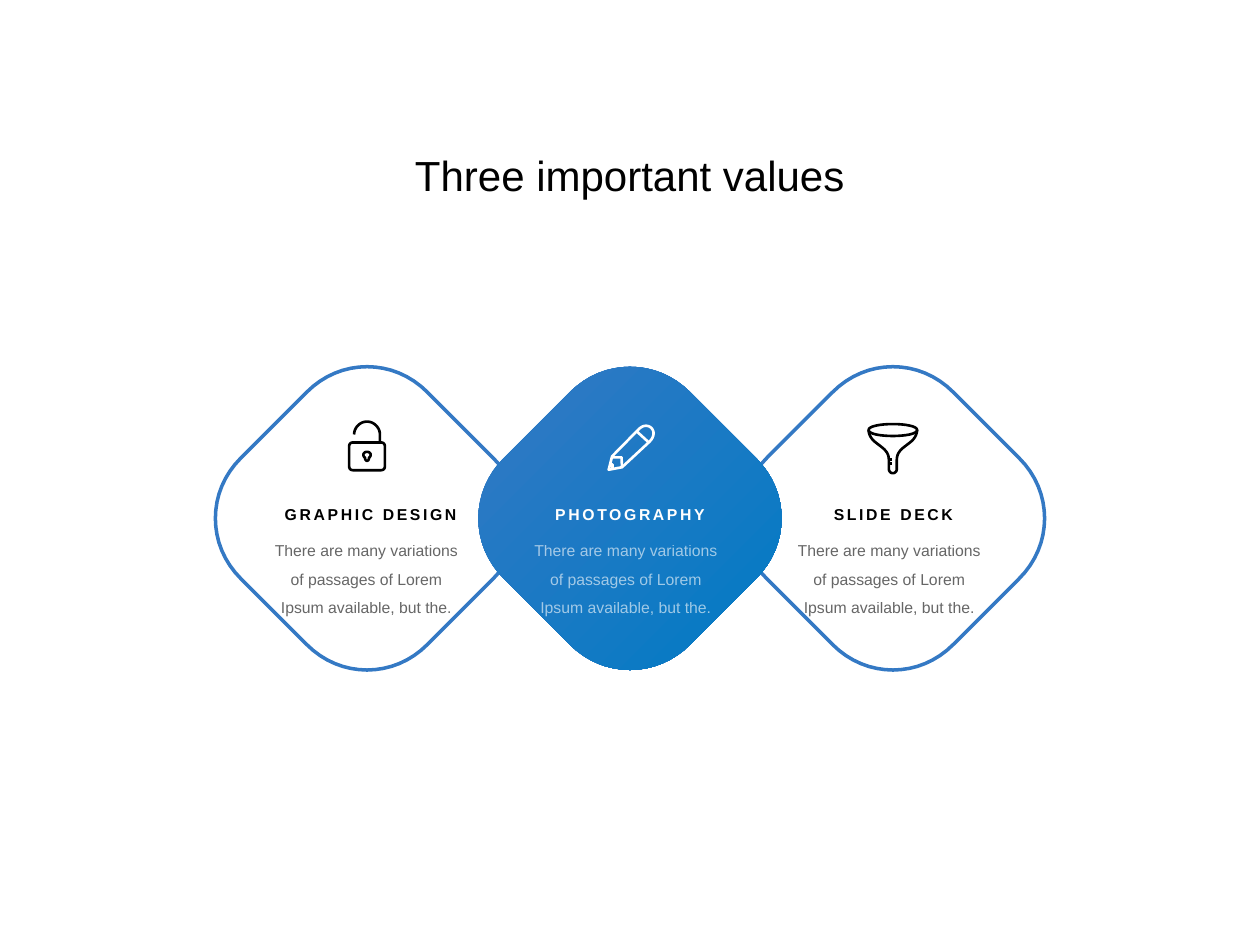
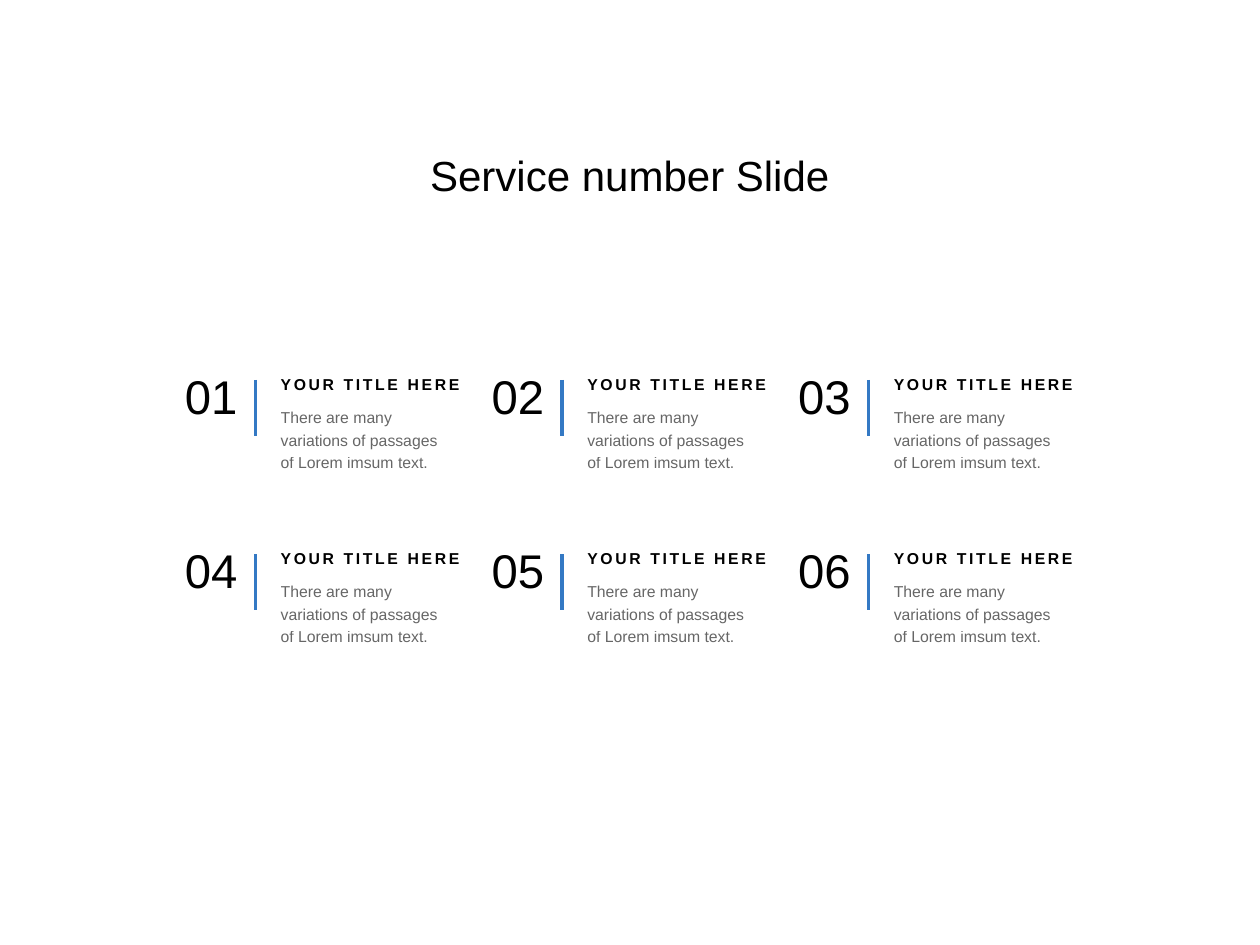
import lxml.etree
import pptx
import pptx.dml.color
import pptx.enum.shapes
import pptx.enum.text
import pptx.oxml.ns
import pptx.util
from pptx.util import Cm

ALIGN = pptx.enum.text.PP_ALIGN
COLORS = {"blue": "3479C4", "deep_blue": "007AC4", "black": "000000", "white": "FFFFFF"}
CURVE_STEPS = 16

# Outlines in cm from the diamond's centre: pairs are points, sixes are Bezier curves
LOCK = [
    [(-.28, -1.53), (.28, -1.53), (.33, -1.53, .36, -1.5, .36, -1.45), (.36, -1.05),
     (.36, -1, .33, -.97, .28, -.97), (-.28, -.97), (-.33, -.97, -.36, -1, -.36, -1.05),
     (-.36, -1.45), (-.36, -1.5, -.33, -1.53, -.28, -1.53)],
    [(.26, -1.53), (.26, -1.69), (.26, -1.83, .14, -1.95, 0, -1.95),
     (-.14, -1.95, -.26, -1.83, -.26, -1.69)],
    [(-.04, -1.22), (-.11, -1.28, -.06, -1.34, 0, -1.34), (.06, -1.34, .11, -1.28, .04, -1.22),
     (.04, -1.14, -.04, -1.14, -.04, -1.22)],
]
PENCIL = [
    [(-.43, -.98), (-.36, -1.25), (.18, -1.8), (.36, -1.98, .6, -1.76, .4, -1.55),
     (-.16, -1.03), (-.43, -.98)],
    [(.14, -1.75), (.38, -1.53)],
    [(-.36, -1.23), (-.17, -1.23), (-.16, -1.03)],
    [(-.4, -1.08), (-.35, -1.08), (-.35, -1.01)],
]
FUNNEL = [
    [(-.49, -1.78), (-.49, -1.94, .49, -1.94, .49, -1.78), (.49, -1.62, -.49, -1.62, -.49, -1.78)],
    [(-.49, -1.78), (-.47, -1.47, -.08, -1.48, -.08, -1.18), (-.08, -1),
     (-.08, -.88, .08, -.88, .08, -1), (.08, -1.18), (.08, -1.48, .47, -1.47, .49, -1.78)],
    [(-.08, -1.19), (-.02, -1.19)],
    [(-.08, -1.1), (-.02, -1.1)],
]


def diamond_outline():
    """Turn one rounded corner by quarter turns."""
    corner = [(2.54, -1.22), (3.23, -.54), (3.23, .54), (2.54, 1.22)]
    contour = []
    for _ in range(4):
        contour.append(corner[0])
        contour.append(corner[1] + corner[2] + corner[3])
        corner = [(-y, x) for x, y in corner]
    return [contour + [contour[0]]]


def flatten(contour):
    """Replace each curve of a contour by short straight steps."""
    points = []
    for step in contour:
        if len(step) == 2:
            points.append(step)
            continue
        controls = [points[-1], step[:2], step[2:4], step[4:]]
        for index in range(1, CURVE_STEPS + 1):
            t = index / CURVE_STEPS
            weights = ((1 - t) ** 3, 3 * t * (1 - t) ** 2, 3 * t * t * (1 - t), t ** 3)
            points.append(tuple(sum(weight * control[axis] for weight, control
                                    in zip(weights, controls)) for axis in (0, 1)))
    return points


def rgb(name):
    return pptx.dml.color.RGBColor.from_string(COLORS[name])


def write(frame, text, size=9, color="black", bold=False, align=ALIGN.LEFT,
          line_spacing=0.8, tracking=0, opacity=100):
    paragraph = frame.paragraphs[0]
    paragraph.alignment = align
    paragraph.line_spacing = line_spacing
    run = paragraph.add_run()
    run.text = text
    run.font.name = "Arial"
    run.font.size = pptx.util.Pt(size)
    run.font.bold = bold
    run.font.color.rgb = rgb(color)
    properties = run._r.get_or_add_rPr()
    if tracking:
        properties.set("spc", str(int(tracking * 100)))
    if opacity < 100:
        fill_color = properties.find(".//" + pptx.oxml.ns.qn("a:srgbClr"))
        alpha = lxml.etree.SubElement(fill_color, pptx.oxml.ns.qn("a:alpha"))
        alpha.set("val", str(opacity * 1000))


class Deck:
    """Holds the presentation, its style and the current slide."""

    line_width = pptx.util.Pt(2)
    icon_width = pptx.util.Pt(1.5)

    def __init__(self):
        self.presentation = pptx.Presentation()
        self.presentation.slide_width = Cm(25.4)
        self.presentation.slide_height = Cm(19.05)

    def new_slide(self, title):
        self.slide = self.presentation.slides.add_slide(self.presentation.slide_layouts[5])
        self.shapes = self.slide.shapes
        shape = self.shapes.title
        shape.left, shape.top, shape.width, shape.height = Cm(3.73), Cm(2.9), Cm(17.93), Cm(1.37)
        shape.text_frame.auto_size = pptx.enum.text.MSO_AUTO_SIZE.NONE
        shape.text_frame.vertical_anchor = pptx.enum.text.MSO_ANCHOR.MIDDLE
        write(shape.text_frame, title, size=24, align=ALIGN.CENTER, line_spacing=0.9)

    def start_group(self):
        self.shapes = self.slide.shapes.add_group_shape().shapes

    def text(self, left, top, width, height, text, right_inset=0, **text_format):
        shape = self.shapes.add_textbox(Cm(left), Cm(top), Cm(width), Cm(height))
        frame = shape.text_frame
        frame.word_wrap = True
        frame.auto_size = pptx.enum.text.MSO_AUTO_SIZE.SHAPE_TO_FIT_TEXT
        frame.margin_left = frame.margin_top = frame.margin_bottom = 0
        frame.margin_right = Cm(right_inset)
        write(frame, text, **text_format)

    def heading(self, left, top, text, **text_format):
        self.text(left, top, 3.66, 0.3, text, bold=True, tracking=1.5, **text_format)

    def body(self, left, top, width, height, text, **text_format):
        self.text(left, top, width, height, text, right_inset=0.18, opacity=60, **text_format)

    def outline(self, center_x, center_y, contours, color, width):
        builder = None
        for contour in contours:
            points = [(Cm(center_x + x), Cm(center_y + y)) for x, y in flatten(contour)]
            if builder is None:
                builder = self.shapes.build_freeform(*points[0])
            else:
                builder.move_to(*points[0])
            builder.add_line_segments(points[1:], close=contour[0] == contour[-1][-2:])
        shape = builder.convert_to_shape()
        shape.shadow.inherit = False
        shape.fill.background()
        shape.line.color.rgb = rgb(color)
        shape.line.width = width
        return shape

    def diamond(self, center_x, center_y, filled):
        shape = self.outline(center_x, center_y, diamond_outline(), "blue", self.line_width)
        if filled:
            shape.line.fill.background()
            shape.fill.gradient()
            shape.fill.gradient_angle = 315
            for stop, name in zip(shape.fill.gradient_stops, ("blue", "deep_blue")):
                stop.color.rgb = rgb(name)

    def divider(self, x, top, length):
        line = self.shapes.add_connector(pptx.enum.shapes.MSO_CONNECTOR.STRAIGHT,
                                         Cm(x), Cm(top), Cm(x), Cm(top + length))
        line.line.color.rgb = rgb("blue")
        line.line.width = self.line_width
        lxml.etree.SubElement(line._element.spPr, pptx.oxml.ns.qn("a:effectLst"))


def add_values_slide(deck):
    deck.new_slide("Three important values")
    center_y = 10.45
    centers = [12.7 + 5.3 * offset for offset in (-1, 0, 1)]

    # Diamonds, the filled one in front
    for index in (2, 0, 1):
        deck.diamond(centers[index], center_y, filled=index == 1)

    # Icon and text in each diamond
    values = [("GRAPHIC DESIGN", LOCK, "black", 5.64), ("PHOTOGRAPHY", PENCIL, "white", 10.87),
              ("SLIDE DECK", FUNNEL, "black", 16.18)]
    for center_x, (name, icon, color, left) in zip(centers, values):
        deck.heading(left, 10.24, name, color=color, align=ALIGN.CENTER)
        deck.body(left - 0.25, 10.72, 4.17, 1.68,
                  "There are many variations of passages of Lorem Ipsum available, but the.",
                  color=color, align=ALIGN.CENTER, line_spacing=1.5)
        deck.outline(center_x, center_y, icon, color, deck.icon_width)


def add_services_slide(deck):
    deck.new_slide("Service number Slide")
    for index in range(6):
        row, column = divmod(index, 3)
        left, top = 3.73 + 6.18 * column, 7.62 + 3.51 * row
        deck.start_group()
        deck.heading(left + 1.93, top, "YOUR TITLE HERE")
        deck.body(left + 1.93, top + 0.52, 3.66, 1.35,
                  "There are many variations of passages of Lorem imsum text.", line_spacing=1.2)
        deck.text(left, top, 1.63, 0.94, f"{index + 1:02}", size=27)
        deck.divider(left + 1.42, top + 0.04, 1.13)


def main():
    deck = Deck()
    add_values_slide(deck)
    add_services_slide(deck)
    deck.presentation.save("out.pptx")


if __name__ == "__main__":
    main()
